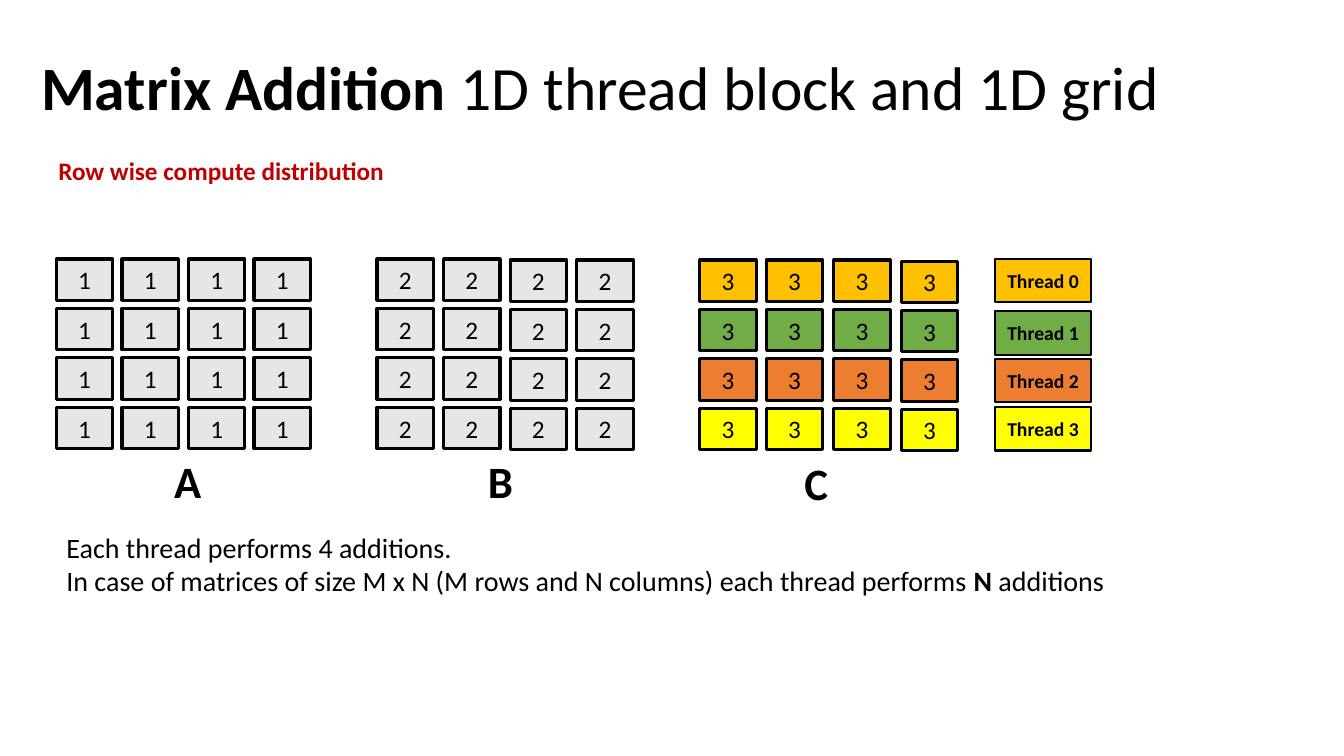
import dataclasses

import pptx
import pptx.dml.color
import pptx.enum.shapes
import pptx.enum.text
import pptx.util

RGBColor = pptx.dml.color.RGBColor
ANCHOR = pptx.enum.text.MSO_ANCHOR
EMU_PER_PX = 9144
FONT = "Calibri"
BLACK = RGBColor(0x00, 0x00, 0x00)
RED = RGBColor(0xC0, 0x00, 0x00)
GREY = RGBColor(0xE7, 0xE6, 0xE6)
GOLD = RGBColor(0xFF, 0xC0, 0x00)
GREEN = RGBColor(0x70, 0xAD, 0x47)
ORANGE = RGBColor(0xED, 0x7D, 0x31)
YELLOW = RGBColor(0xFF, 0xFF, 0x00)
THREAD_COLORS = (GOLD, GREEN, ORANGE, YELLOW)
THREAD_TOPS = (257, 309, 356, 404)
ROW_PITCH = 49


@dataclasses.dataclass(frozen=True)
class Box:
    """A rectangle in px."""

    left: int
    top: int
    width: int
    height: int

    def emu(self) -> list[int]:
        """Return the rectangle in EMU."""
        return [v * EMU_PER_PX for v in dataclasses.astuple(self)]


@dataclasses.dataclass(frozen=True)
class Run:
    """A stretch of text with one weight."""

    text: str
    bold: bool = False


@dataclasses.dataclass(frozen=True)
class Label:
    """A free text with its paragraphs of runs."""

    box: Box
    size: int
    paragraphs: tuple[tuple[Run, ...], ...]
    color: RGBColor = BLACK


@dataclasses.dataclass(frozen=True)
class Matrix:
    """A matrix of equal values, placed column by column."""

    value: str
    lefts: tuple[int, ...]
    tops: tuple[int, ...]
    row_colors: tuple[RGBColor, ...]


MATRICES = (
    Matrix("1", (56, 121, 187, 252), (257, 257, 257, 257), (GREY,) * 4),
    Matrix("2", (374, 440, 506, 572), (257, 257, 258, 258), (GREY,) * 4),
    Matrix("3", (694, 760, 827, 894), (258, 258, 258, 259), THREAD_COLORS),
)
TITLE = Label(
    Box(31, 17, 1150, 145),
    44,
    ((Run("Matrix Addition ", True), Run("1D thread block and 1D grid")),),
)
LABELS = (
    Label(Box(48, 149, 346, 40), 18, ((Run("Row wise compute distribution", True),),), RED),
    Label(Box(163, 445, 47, 64), 32, ((Run("A", True),),)),
    Label(Box(474, 445, 45, 64), 32, ((Run("B", True),),)),
    Label(Box(788, 447, 45, 64), 32, ((Run("C", True),),)),
    Label(
        Box(56, 521, 1065, 77),
        20,
        (
            (Run("Each thread performs 4 additions."),),
            (
                Run("In case of matrices of size M x N (M rows and N columns) each thread performs "),
                Run("N ", True),
                Run("additions"),
            ),
        ),
    ),
)


def style_font(font: pptx.text.text.Font, size: int, bold: bool, color: RGBColor) -> None:
    """Set typeface, size, weight and colour."""
    font.name = FONT
    font.size = pptx.util.Pt(size)
    font.bold = bold
    font.color.rgb = color


def add_label(s: pptx.slide.Slide, label: Label) -> pptx.text.text.TextFrame:
    """Draw a free text on the slide and return its frame."""
    tf = s.shapes.add_textbox(*label.box.emu()).text_frame
    tf.word_wrap = False
    tf.auto_size = pptx.enum.text.MSO_AUTO_SIZE.SHAPE_TO_FIT_TEXT
    for i, runs in enumerate(label.paragraphs):
        p = tf.add_paragraph() if i else tf.paragraphs[0]
        for run in runs:
            r = p.add_run()
            r.text = run.text
            style_font(r.font, label.size, run.bold, label.color)
    return tf


def add_title(s: pptx.slide.Slide, label: Label) -> None:
    """Draw the heading, centred vertically in its box."""
    tf = add_label(s, label)
    tf.word_wrap = True
    tf.auto_size = pptx.enum.text.MSO_AUTO_SIZE.NONE
    tf.vertical_anchor = ANCHOR.MIDDLE
    tf.paragraphs[0].line_spacing = 0.9


def add_cell(
    s: pptx.slide.Slide, box: Box, text: str, fill: RGBColor, line: float, size: int, bold: bool
) -> None:
    """Draw a filled rectangle with centred text."""
    sp = s.shapes.add_shape(pptx.enum.shapes.MSO_SHAPE.RECTANGLE, *box.emu())
    sp.shadow.inherit = False
    sp.fill.solid()
    sp.fill.fore_color.rgb = fill
    sp.line.color.rgb = BLACK
    sp.line.width = pptx.util.Pt(line)
    tf = sp.text_frame
    tf.text = text
    tf.vertical_anchor = ANCHOR.MIDDLE
    p = tf.paragraphs[0]
    p.alignment = pptx.enum.text.PP_ALIGN.CENTER
    style_font(p.runs[0].font, size, bold, BLACK)


def add_matrix(s: pptx.slide.Slide, matrix: Matrix) -> None:
    """Draw all cells of a matrix."""
    for left, top in zip(matrix.lefts, matrix.tops):
        for row, color in enumerate(matrix.row_colors):
            box = Box(left, top + row * ROW_PITCH, 56, 41)
            add_cell(s, box, matrix.value, color, 2.25, 18, False)


def main() -> None:
    """Build and save the slide."""
    prs = pptx.Presentation()
    prs.slide_width = 1333 * EMU_PER_PX
    prs.slide_height = 750 * EMU_PER_PX
    s = prs.slides.add_slide(prs.slide_layouts[6])
    add_title(s, TITLE)
    for matrix in MATRICES:
        add_matrix(s, matrix)
    for i, (top, color) in enumerate(zip(THREAD_TOPS, THREAD_COLORS)):
        add_cell(s, Box(987, top, 95, 43), f"Thread {i}", color, 1.5, 14, True)
    for label in LABELS:
        add_label(s, label)
    prs.save("out.pptx")


if __name__ == "__main__":
    main()
